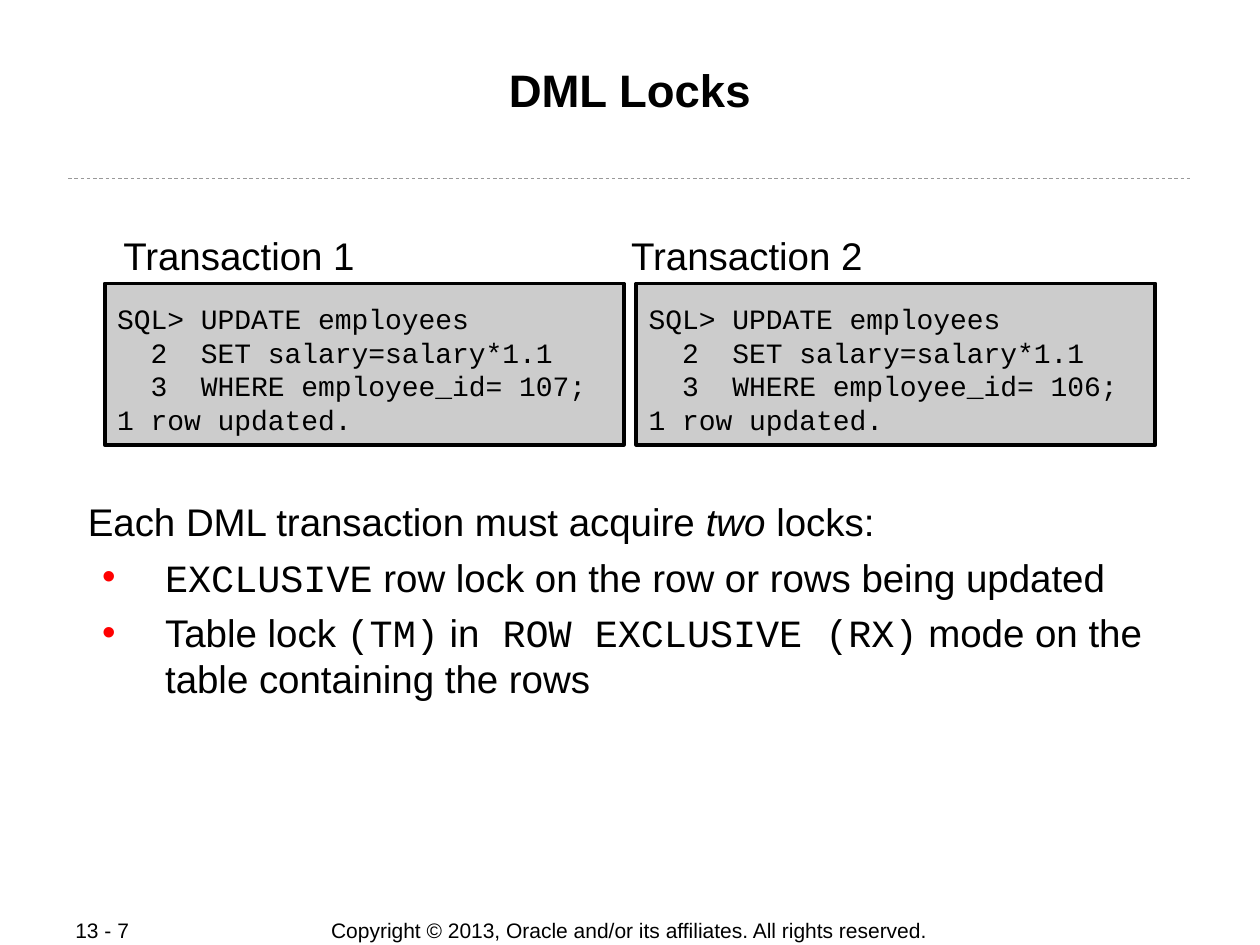
from lxml import etree
from pptx import Presentation
from pptx.dml.color import RGBColor
from pptx.enum import dml, shapes, text
from pptx.oxml import ns
from pptx.util import Pt

SANS, MONO = "Arial", "Courier New"
BLACK, GRAY, SILVER, RED = "000000", "999999", "CCCCCC", "FF0000"


def rgb(value):
    return RGBColor.from_string(value)


def add_run(p, words, size, font=SANS, bold=False, italic=False):
    r = p.add_run()
    r.text = words
    r.font.name, r.font.size = font, Pt(size)
    r.font.bold, r.font.italic = bold, italic
    r.font.color.rgb = rgb(BLACK)


def set_frame(tf, insets, anchor=text.MSO_ANCHOR.TOP):
    """Set insets (left, top, right, bottom) and anchor, and wrap the text."""
    tf.margin_left, tf.margin_top, tf.margin_right, tf.margin_bottom = map(Pt, insets)
    tf.vertical_anchor = anchor
    tf.word_wrap = True


def add_text_box(slide, box, insets=(0.7, 0.7, 0.7, 0.7), **frame):
    tf = slide.shapes.add_textbox(*map(Pt, box)).text_frame
    set_frame(tf, insets, **frame)
    return tf


def add_label(slide, box, words, size, align=text.PP_ALIGN.LEFT, bold=False, **frame):
    p = add_text_box(slide, box, **frame).paragraphs[0]
    p.alignment = align
    add_run(p, words, size, bold=bold)


def add_footer(slide, box, words, align):
    add_label(slide, box, words, 12, align, insets=(7.2, 3.6, 7.2, 3.6),
              anchor=text.MSO_ANCHOR.MIDDLE)


def add_divider(slide, left, right, y):
    line = slide.shapes.add_connector(shapes.MSO_CONNECTOR.STRAIGHT,
                                      Pt(left), Pt(y), Pt(right), Pt(y))
    line.line.color.rgb = rgb(GRAY)
    line.line.width = Pt(0.5)
    line.line.dash_style = dml.MSO_LINE.DASH
    etree.SubElement(line._element.spPr, ns.qn("a:effectLst"))


def add_code_box(slide, box, lines):
    sp = slide.shapes.add_shape(shapes.MSO_SHAPE.RECTANGLE, *map(Pt, box))
    sp.shadow.inherit = False
    sp.fill.solid()
    sp.fill.fore_color.rgb = rgb(SILVER)
    sp.line.color.rgb = rgb(BLACK)
    sp.line.width = Pt(2.25)
    tf = sp.text_frame
    set_frame(tf, (7.2, 3.6, 7.2, 3.6))
    for i, code in enumerate(lines):
        p = tf.add_paragraph() if i else tf.paragraphs[0]
        p.alignment = text.PP_ALIGN.LEFT
        p.line_spacing = 1.0 if i else 1.36
        add_run(p, code, 16, MONO)


def add_bullet(p, left, hanging):
    pPr = p._p.get_or_add_pPr()
    pPr.set("marL", str(Pt(left)))
    pPr.set("indent", str(Pt(-hanging)))
    color = etree.SubElement(pPr, ns.qn("a:buClr"))
    etree.SubElement(color, ns.qn("a:srgbClr"), val=RED)
    etree.SubElement(pPr, ns.qn("a:buFont"), typeface=SANS)
    etree.SubElement(pPr, ns.qn("a:buChar"), char="•")


def add_body(slide, box):
    tf = add_text_box(slide, box, insets=(2, 0.7, 0.7, 0.7))
    p = tf.paragraphs[0]
    add_run(p, "Each DML transaction must acquire ", 22)
    add_run(p, "two", 22, italic=True)
    add_run(p, " locks:", 22)
    bullets = [
        [("EXCLUSIVE", MONO), (" row lock on the row or rows being updated", SANS)],
        [("Table lock ", SANS), ("(TM)", MONO), (" in", SANS),
         (" ROW EXCLUSIVE (RX)", MONO),
         (" mode on the table containing the rows", SANS)],
    ]
    for runs in bullets:
        p = tf.add_paragraph()
        add_bullet(p, 44.2, 36)
        p.space_before = Pt(5.5)
        for words, font in runs:
            add_run(p, words, 22, font)


def add_transaction(slide, number, label_left, box_left, employee):
    add_code_box(slide, (box_left, 162, 296.6, 92.2), [
        "SQL> UPDATE employees",
        "  2  SET salary=salary*1.1",
        f"  3  WHERE employee_id= {employee};",
        "1 row updated.",
    ])
    add_label(slide, (label_left, 131.8, 196, 28), f"Transaction {number}", 22)


def main():
    prs = Presentation()
    prs.slide_width, prs.slide_height = Pt(720), Pt(540)
    slide = prs.slides.add_slide(prs.slide_layouts[6])
    add_footer(slide, (177.6, 524.2, 364, 15.1),
               "Copyright © 2013, Oracle and/or its affiliates. All rights reserved.",
               text.PP_ALIGN.CENTER)
    add_footer(slide, (36, 524.2, 76.3, 14.4), "13 - 7", text.PP_ALIGN.LEFT)
    add_divider(slide, 38.9, 681.1, 102.2)
    add_label(slide, (48.2, 34.6, 623.5, 69.1), "DML Locks", 26,
              text.PP_ALIGN.CENTER, bold=True)
    add_body(slide, (48.2, 283.7, 623.5, 118.8))
    add_transaction(slide, 2, 360, 363.6, 106)
    add_transaction(slide, 1, 69.8, 59.8, 107)
    prs.save("out.pptx")


if __name__ == "__main__":
    main()
